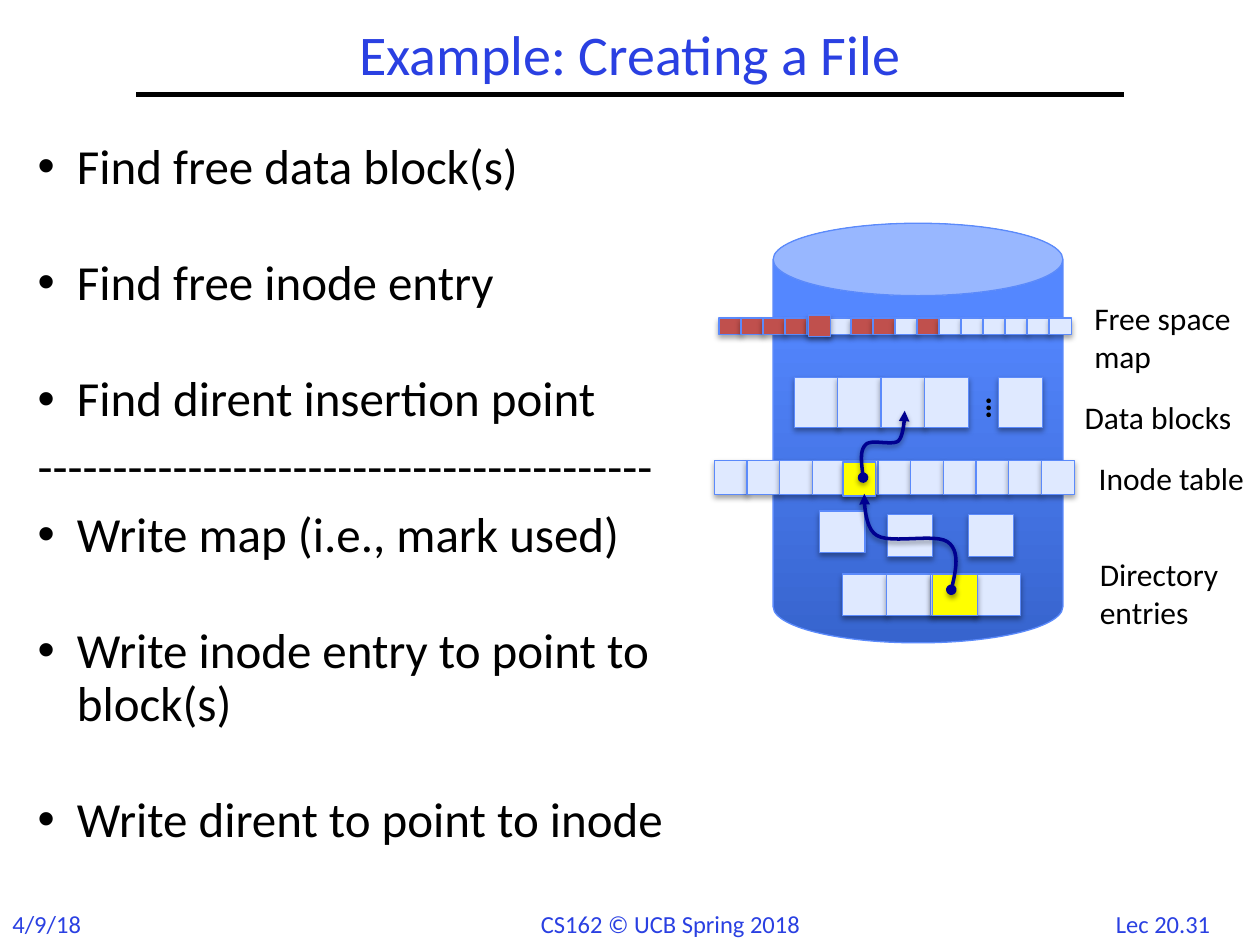
from dataclasses import dataclass

from lxml import etree
from pptx import Presentation
from pptx import util as u
from pptx.dml.color import RGBColor
from pptx.enum import shapes, text
from pptx.oxml.ns import qn

FONT = "Calibri"
WHITE = RGBColor(0xFF, 0xFF, 0xFF)
BLACK = RGBColor(0, 0, 0)
TITLE_BLUE = RGBColor(0x2A, 0x40, 0xE2)
EDGE_BLUE = RGBColor(0x5B, 0x8A, 0xFB)
DISK_DARK = RGBColor(0x37, 0x64, 0xCE)
DISK_LIGHT = RGBColor(0x54, 0x87, 0xFF)
FREE = RGBColor(0xDF, 0xE9, 0xFF)
USED = RGBColor(0xC0, 0x50, 0x4D)
CHOSEN = RGBColor(0xFF, 0xFF, 0x00)
NAVY = RGBColor(0, 0, 0x90)
CURVE_STEPS = 12
WIDE_GAP = 36.1
NARROW_GAP = 8.5


@dataclass
class BlockRow:
    left: float
    top: float
    width: float
    height: float
    pitch: float = 0
    count: int = 1
    color: RGBColor = FREE
    used: tuple[int, ...] = ()


@dataclass
class Label:
    words: str
    left: float
    top: float
    width: float
    height: float
    wrap: bool = False


@dataclass
class Step:
    words: str
    gap: float
    bullet: bool = True


@dataclass
class Pointer:
    nodes: list[tuple[float, float]]


FREE_MAP = BlockRow(410.8, 181.8, 12.96, 9.36, 12.58, 16, used=(0, 1, 2, 3, 6, 7, 9))
DATA_BLOCKS = BlockRow(453.8, 215.6, 25.2, 28.8, 24.8, 4)
LAST_DATA_BLOCK = BlockRow(570.6, 215.6, 25.2, 28.8)
INODES = BlockRow(408.2, 263.2, 18.72, 19.44, 18.7, 11)
ENTRIES = BlockRow(481.3, 328, 25.9, 23.8, 25.3, 4)
LOOSE_ENTRIES = [
    BlockRow(553.3, 294.1, 25.9, 23.8),
    BlockRow(468.4, 292, 25.9, 23.8),
    BlockRow(507.2, 294.1, 25.9, 23.8),
]
CHOSEN_INODE = BlockRow(481.7, 264, 18.72, 19.44, color=CHOSEN)
CHOSEN_ENTRY = BlockRow(532.8, 328, 25.9, 23.8, color=CHOSEN)
NEW_MAP_BIT = BlockRow(462.2, 180, 12.24, 12.24, color=USED)

INODE_TO_DATA = Pointer([
    (493.2, 272.9), (492.5, 265), (491, 257.8), (494.6, 254.2), (497.5, 250.6),
    (509.8, 254.9), (513.4, 252), (517, 248.4), (517, 234.7), (517, 234.7),
])
ENTRY_TO_INODE = Pointer([
    (543.6, 337), (546.5, 325.4), (548.6, 314.6), (541.4, 309.6), (534.2, 304.6),
    (509, 311), (501.1, 306), (493.2, 301.7), (493.9, 282.2), (493.9, 282.2),
])

LABELS = [
    Label("Data blocks", 612.7, 223.9, 101.5, 28.8),
    Label("Free space map", 618.2, 167.3, 101.5, 51.1, wrap=True),
    Label("Inode table", 620.8, 258.5, 98.6, 28.8),
    Label("Directory\nentries", 621.4, 313.7, 87.1, 51.1),
]
FOOTERS = [
    Label("Lec 20.31", 630.6, 515.8, 74.2, 24),
    Label("4/9/18", 0, 515.8, 72, 24),
    Label("CS162 © UCB Spring 2018", 302, 515.8, 169.9, 24),
]
STEPS = [
    Step("Find free data block(s)", 0),
    Step("Find free inode entry", WIDE_GAP),
    Step("Find dirent insertion point", WIDE_GAP),
    Step("-" * 41, NARROW_GAP, bullet=False),
    Step("Write map (i.e., mark used)", NARROW_GAP),
    Step("Write inode entry to point to block(s)", WIDE_GAP),
    Step("Write dirent to point to inode", WIDE_GAP),
]


def write(frame, words: str, *, size=18, color=BLACK, bold=False,
          align=text.PP_ALIGN.LEFT, line_spacing=1.0, gap=0.0, fresh=True):
    for index, line in enumerate(words.split("\n")):
        para = frame.paragraphs[0] if fresh and index == 0 else frame.add_paragraph()
        para.alignment = align
        para.line_spacing = line_spacing
        para.space_before = u.Pt(gap)
        span = para.add_run()
        span.text = line
        span.font.name = FONT
        span.font.size = u.Pt(size)
        span.font.bold = bold
        span.font.color.rgb = color
    return para


def add_box(page, left: float, top: float, width: float, height: float, wrap=True):
    box = page.shapes.add_textbox(u.Pt(left), u.Pt(top), u.Pt(width), u.Pt(height))
    box.text_frame.word_wrap = wrap
    return box


def add_label(page, label: Label, **style) -> None:
    box = add_box(page, label.left, label.top, label.width, label.height, label.wrap)
    write(box.text_frame, label.words, **style)


def add_steps(page, steps: list[Step]) -> None:
    frame = add_box(page, 14.4, 77.8, 399.6, 432).text_frame
    for index, step in enumerate(steps):
        para = write(frame, step.words, size=28, line_spacing=0.9, gap=step.gap, fresh=index == 0)
        if step.bullet:
            properties = para._p.get_or_add_pPr()
            properties.set("marL", str(u.Pt(22.5)))
            properties.set("indent", str(u.Pt(-22.5)))
            etree.SubElement(properties, qn("a:buFont"), typeface="Arial")
            etree.SubElement(properties, qn("a:buChar"), char="•")


def add_shadow(shape, opacity: int, distance: float) -> None:
    shape.shadow.inherit = False
    effects = shape._element.spPr.find(qn("a:effectLst"))
    shadow = etree.SubElement(effects, qn("a:outerShdw"), blurRad=str(u.Pt(3.1)),
                              dist=str(u.Pt(distance)), dir="5400000", rotWithShape="0")
    color = etree.SubElement(shadow, qn("a:srgbClr"), val=str(BLACK))
    etree.SubElement(color, qn("a:alpha"), val=str(opacity * 1000))


def add_blocks(page, row: BlockRow) -> None:
    for index in range(row.count):
        block = page.shapes.add_shape(
            shapes.MSO_SHAPE.RECTANGLE, u.Pt(row.left + index * row.pitch), u.Pt(row.top),
            u.Pt(row.width), u.Pt(row.height))
        block.fill.solid()
        block.fill.fore_color.rgb = USED if index in row.used else row.color
        block.line.color.rgb = EDGE_BLUE
        block.line.width = u.Pt(0.75)
        add_shadow(block, 35, 1.8)


def curve_points(nodes: list[tuple[float, float]]) -> list[tuple[int, int]]:
    points = []
    for first in range(0, len(nodes) - 3, 3):
        for step in range(1, CURVE_STEPS + 1):
            t = step / CURVE_STEPS
            weights = ((1 - t) ** 3, 3 * t * (1 - t) ** 2, 3 * t * t * (1 - t), t ** 3)
            points.append(tuple(
                u.Pt(sum(w * node[axis] for w, node in zip(weights, nodes[first:first + 4])))
                for axis in (0, 1)))
    return points


def add_pointer(page, pointer: Pointer) -> None:
    start_x, start_y = pointer.nodes[0]
    builder = page.shapes.build_freeform(u.Pt(start_x), u.Pt(start_y))
    builder.add_line_segments(curve_points(pointer.nodes), close=False)
    curve = builder.convert_to_shape()
    curve.fill.background()
    curve.line.color.rgb = NAVY
    curve.line.width = u.Pt(2)
    line = curve.line._get_or_add_ln()
    etree.SubElement(line, qn("a:headEnd"), type="oval")
    etree.SubElement(line, qn("a:tailEnd"), type="triangle")
    add_shadow(curve, 38, 1.6)


def add_title(page) -> None:
    rule = page.shapes.add_connector(shapes.MSO_CONNECTOR.STRAIGHT,
                                     u.Pt(77.8), u.Pt(54), u.Pt(642.2), u.Pt(54))
    rule.line.color.rgb = BLACK
    rule.line.width = u.Pt(3)
    etree.SubElement(rule._element.spPr, qn("a:effectLst"))
    frame = add_box(page, 78, 11.8, 564, 41.8).text_frame
    frame.vertical_anchor = text.MSO_ANCHOR.MIDDLE
    write(frame, "Example: Creating a File", size=32, color=TITLE_BLUE,
          align=text.PP_ALIGN.CENTER, line_spacing=0.9)


def add_disk(page) -> None:
    disk = page.shapes.add_shape(shapes.MSO_SHAPE.CAN, u.Pt(441.8), u.Pt(127.6),
                                 u.Pt(165.6), u.Pt(239.8))
    disk.shadow.inherit = False
    disk.fill.gradient()
    disk.fill.gradient_angle = 90
    for stop, color, position in zip(disk.fill.gradient_stops, (DISK_DARK, DISK_LIGHT), (0, 0.8)):
        stop.color.rgb = color
        stop.position = position
    disk.line.color.rgb = EDGE_BLUE
    disk.line.width = u.Pt(0.75)


def main() -> None:
    deck = Presentation()
    deck.slide_width, deck.slide_height = u.Pt(720), u.Pt(540)
    page = deck.slides.add_slide(deck.slide_layouts[6])
    page.background.fill.solid()
    page.background.fill.fore_color.rgb = WHITE
    for footer in FOOTERS:
        add_label(page, footer, size=14, color=TITLE_BLUE)
    add_title(page)
    add_steps(page, STEPS)
    add_disk(page)
    for label in LABELS:
        add_label(page, label)
    for row in (DATA_BLOCKS, LAST_DATA_BLOCK, FREE_MAP, INODES, ENTRIES, *LOOSE_ENTRIES):
        add_blocks(page, row)
    ellipsis = add_box(page, 542.9, 216, 32.4, 28.8, wrap=False)
    ellipsis.rotation = 270
    write(ellipsis.text_frame, "…", bold=True)
    add_blocks(page, CHOSEN_INODE)
    add_pointer(page, INODE_TO_DATA)
    add_blocks(page, CHOSEN_ENTRY)
    add_pointer(page, ENTRY_TO_INODE)
    add_blocks(page, NEW_MAP_BIT)
    deck.save("out.pptx")


if __name__ == "__main__":
    main()
